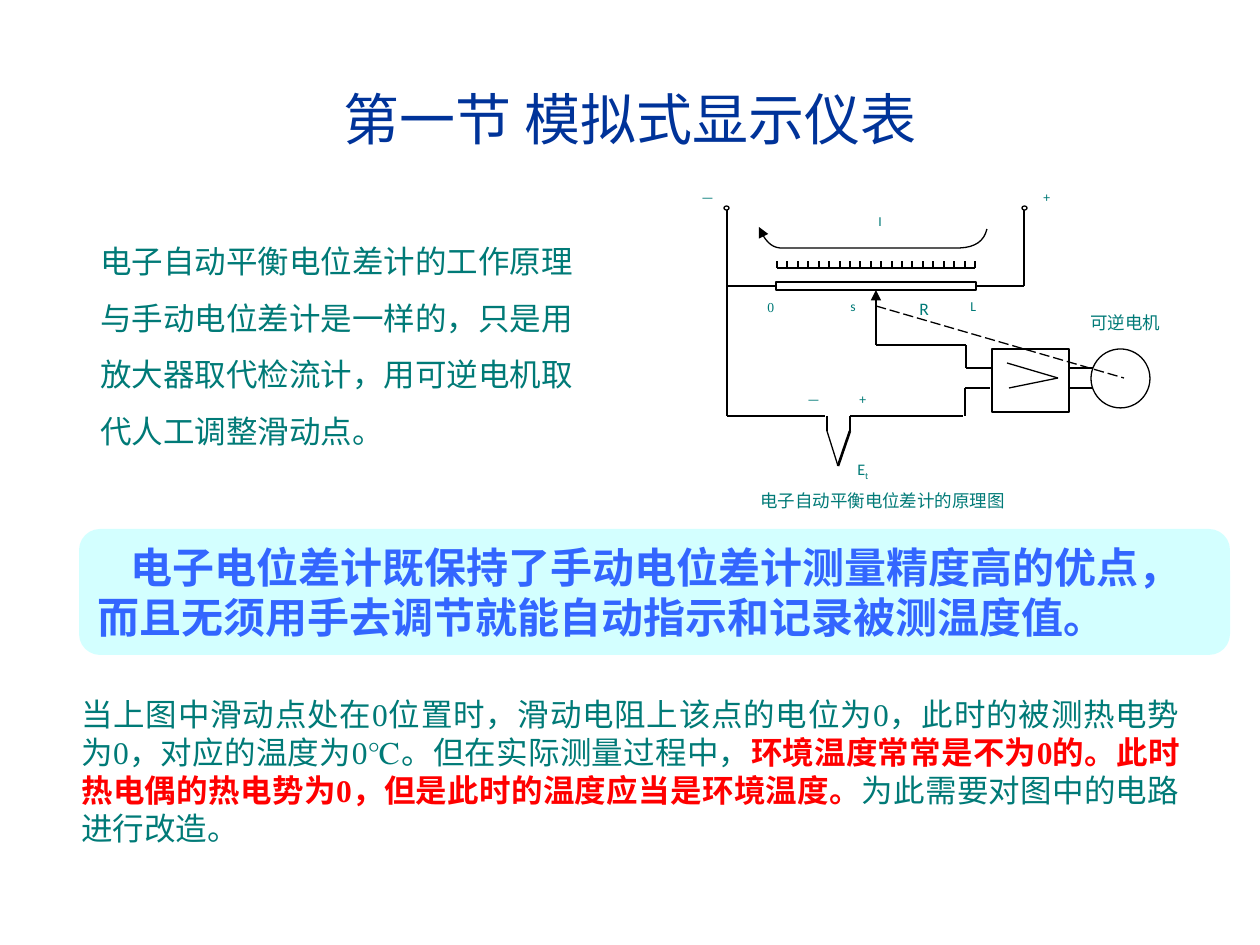
from lxml import etree
from pptx import Presentation
from pptx.dml.color import RGBColor
from pptx.enum.dml import MSO_LINE
from pptx.enum.shapes import MSO_CONNECTOR, MSO_SHAPE
from pptx.enum.text import MSO_ANCHOR, PP_ALIGN
from pptx.oxml.ns import qn
from pptx.util import Emu, Pt

LEFT, CENTER, JUSTIFY = PP_ALIGN.LEFT, PP_ALIGN.CENTER, PP_ALIGN.JUSTIFY
TOP, MIDDLE = MSO_ANCHOR.TOP, MSO_ANCHOR.MIDDLE
STRAIGHT, DASH = MSO_CONNECTOR.STRAIGHT, MSO_LINE.LONG_DASH
RECT, OVAL = MSO_SHAPE.RECTANGLE, MSO_SHAPE.OVAL
CALLOUT = MSO_SHAPE.FLOWCHART_ALTERNATE_PROCESS
TOP_SIDE, LEFT_SIDE, BOTTOM_SIDE, RIGHT_SIDE = range(4)
CJK = "Noto Sans CJK SC"
COLORS = {"title": "003399", "body": "007A77", "alert": "FF0000", "callout": "3366FF",
          "panel": "CCFFFF", "ink": "000000", "white": "FFFFFF"}


def px(n):
    """Turn pixels into EMU."""
    return Emu(round(n * 914400 / 126))


def rgb(name):
    """Look up a named colour."""
    return RGBColor.from_string(COLORS[name])


def write(s, runs, size, font, align=LEFT, anchor=TOP, spacing=None, indent=0):
    """Fill a shape with one paragraph of (text, colour, bold, baseline) runs."""
    tf = s.text_frame
    for name, value in {"word_wrap": True, "vertical_anchor": anchor}.items():
        setattr(tf, name, value)
    p = tf.paragraphs[0]
    for name, value in {"alignment": align, "line_spacing": spacing}.items():
        setattr(p, name, value)
    if indent:
        p._p.get_or_add_pPr().set("indent", str(px(indent)))
    for text, color, bold, baseline in runs:
        r = p.add_run()
        r.text = text
        for name, value in {"size": Pt(size), "name": font, "bold": bold}.items():
            setattr(r.font, name, value)
        r.font.color.rgb = rgb(color)
        props = r._r.get_or_add_rPr()
        etree.SubElement(props, qn("a:ea")).set("typeface", CJK)
        if baseline:
            props.set("baseline", str(baseline * 1000))


def add_text(shapes, box, runs, size, font, **options):
    """Add a text box."""
    s = shapes.add_textbox(*map(px, box))
    write(s, runs, size, font, **options)


def add_label(shapes, box, text, size=7.8, font="Calibri", align=JUSTIFY, spacing=None):
    """Add a plain label of the circuit."""
    add_text(shapes, box, [(text, "body", False, 0)], size, font, align=align, spacing=spacing)


def style_line(s, width, arrow=False):
    """Give a line its colour, width and arrowhead."""
    s.line.color.rgb = rgb("ink")
    s.line.width = Pt(width)
    if arrow:
        etree.SubElement(s.line._get_or_add_ln(), qn("a:tailEnd")).set("type", "triangle")


def add_part(shapes, kind, *box):
    """Add a white outlined part of the circuit."""
    s = shapes.add_shape(kind, *map(px, box))
    s.shadow.inherit = False
    s.fill.solid()
    s.fill.fore_color.rgb = rgb("white")
    style_line(s, 0.75)
    return s


def add_wire(shapes, x1, y1, x2, y2, width=0.75, arrow=False, dash=None):
    """Add a straight wire."""
    s = shapes.add_connector(STRAIGHT, *map(px, (x1, y1, x2, y2)))
    style_line(s, width, arrow)
    if dash:
        s.line.dash_style = dash
    etree.SubElement(s._element.spPr, qn("a:effectLst"))
    return s


def bend(start, corner, end, steps=8):
    """Return points on a quadratic curve from start to end."""
    ts = [i / steps for i in range(steps + 1)]
    return [tuple((1 - t) ** 2 * a + 2 * t * (1 - t) * b + t * t * c
                  for a, b, c in zip(start, corner, end)) for t in ts]


def add_current_arrow(shapes):
    """Draw the curved arrow of current I."""
    points = bend((987, 229), (983, 247), (960, 248)) + bend((780, 248), (767, 247), (759, 227))
    points = [(px(x), px(y)) for x, y in points]
    builder = shapes.build_freeform(*points[0])
    builder.add_line_segments(points[1:], close=False)
    s = builder.convert_to_shape()
    s.shadow.inherit = False
    s.fill.background()
    style_line(s, 0.75, arrow=True)


def add_scale(shapes, left=777, right=975, base=268, top=261, steps=19):
    """Draw the scale with equal ticks."""
    add_wire(shapes, left, base, right, base)
    for i in range(steps + 1):
        x = left + round(i * (right - left) / steps)
        add_wire(shapes, x, base, x, top)


def add_circuit(shapes):
    """Draw the circuit with its labels."""
    resistor = add_part(shapes, RECT, 776, 282, 200, 8)
    add_wire(shapes, 776, 286, 727, 286).begin_connect(resistor, LEFT_SIDE)
    add_wire(shapes, 1024, 286, 976, 286).end_connect(resistor, RIGHT_SIDE)
    slider = add_wire(shapes, 876, 345, 876, 290, arrow=True)
    slider.end_connect(resistor, BOTTOM_SIDE)
    wires = [(727, 416, 727, 208), (1024, 286, 1024, 210), (727, 416, 825, 416),
             (827, 416, 827, 431), (850, 416, 850, 431), (827, 431, 838, 466),
             (850, 416, 963, 416), (876, 345, 966, 345), (966, 345, 966, 368),
             (965, 388, 965, 416), (966, 368, 992, 368), (965, 388, 990, 388),
             (1070, 368, 1097, 368), (1070, 388, 1095, 388)]
    for wire in wires:
        add_wire(shapes, *wire)
    add_wire(shapes, 850, 431, 838, 466, width=1.5)
    for x in (724, 1022):
        add_part(shapes, OVAL, x, 206, 5, 4)
    add_current_arrow(shapes)
    add_scale(shapes)
    add_part(shapes, RECT, 992, 349, 77, 63)
    for y1, x1 in ((363, 1007), (388, 1009)):
        add_wire(shapes, x1, y1, 1058, 378)
    add_part(shapes, OVAL, 1091, 349, 59, 59)
    add_wire(shapes, 876, 306, 1124, 378, dash=DASH)

    for text, x, y in [("+", 1031, 186), ("—", 689, 186), ("I", 866, 210), ("s", 838, 295),
                       ("L", 958, 295), ("+", 847, 388), ("—", 795, 388)]:
        add_label(shapes, (x, y, 33, 32), text, spacing=0.8)
    add_label(shapes, (755, 296, 33, 32), "0", font="Times New Roman", spacing=0.8)
    add_label(shapes, (907, 292, 35, 35), "R", 10)
    add_label(shapes, (748, 484, 305, 38), "电子自动平衡电位差计的原理图", 10)
    add_label(shapes, (1078, 306, 100, 35), "可逆电机", 10, align=LEFT)
    add_text(shapes, (845, 454, 40, 35), [("E", "body", False, 0), ("t", "body", False, -25)],
             9.2, "Calibri", align=JUSTIFY, spacing=0.9)


def add_callout(shapes):
    """Add the rounded panel with the advantage."""
    s = shapes.add_shape(CALLOUT, *map(px, (79, 529, 1151, 126)))
    s.shadow.inherit = False
    s.fill.solid()
    s.fill.fore_color.rgb = rgb("panel")
    color = s.fill._xPr.find(qn("a:solidFill"))[0]
    etree.SubElement(color, qn("a:alpha")).set("val", "85000")
    s.line.fill.background()
    text = "电子电位差计既保持了手动电位差计测量精度高的优点，而且无须用手去调节就能自动指示和记录被测温度值。"
    write(s, [(text, "callout", True, 0)], 24, CJK, anchor=MIDDLE, indent=33)


def main():
    """Build the slide."""
    prs = Presentation()
    prs.slide_width, prs.slide_height = px(1260), px(945)
    shapes = prs.slides.add_slide(prs.slide_layouts[6]).shapes
    add_text(shapes, (42, 39, 1177, 158), [("第一节 模拟式显示仪表", "title", False, 0)],
             32, "Arial", align=CENTER, anchor=MIDDLE)
    add_callout(shapes)
    add_circuit(shapes)
    principle = "电子自动平衡电位差计的工作原理与手动电位差计是一样的，只是用放大器取代检流计，用可逆电机取代人工调整滑动点。"
    add_text(shapes, (88, 217, 522, 239), [(principle, "body", False, 0)], 18, "Arial", spacing=1.5)
    problem = [
        ("当上图中滑动点处在0位置时，滑动电阻上该点的电位为0，此时的被测热电势为0，对应的温度为0℃。但在实际测量过程中，",
         "body", False, 0),
        ("环境温度常常是不为0的。此时热电偶的热电势为0，但是此时的温度应当是环境温度。", "alert", True, 0),
        ("为此需要对图中的电路进行改造。", "body", False, 0)]
    add_text(shapes, (69, 689, 1123, 164), problem, 18, "Times New Roman",
             align=JUSTIFY, anchor=MIDDLE)
    prs.save("out.pptx")


if __name__ == "__main__":
    main()
